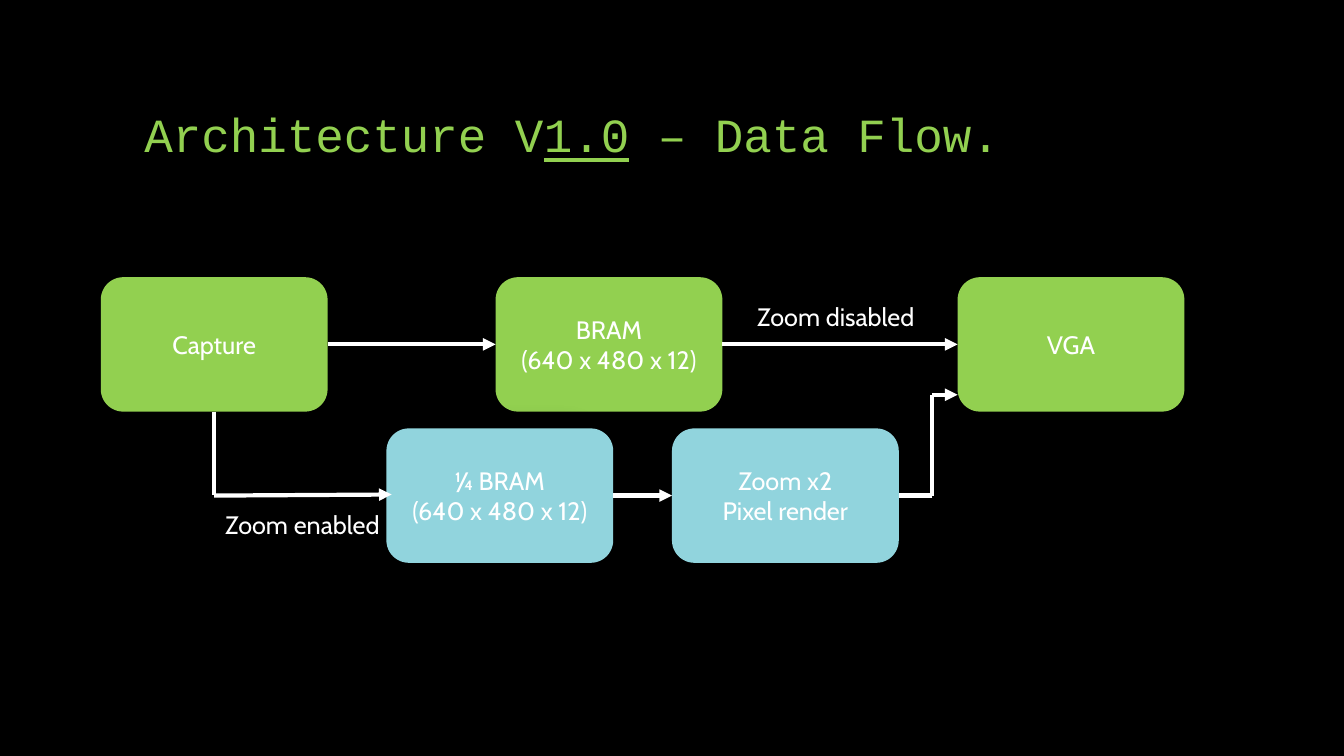
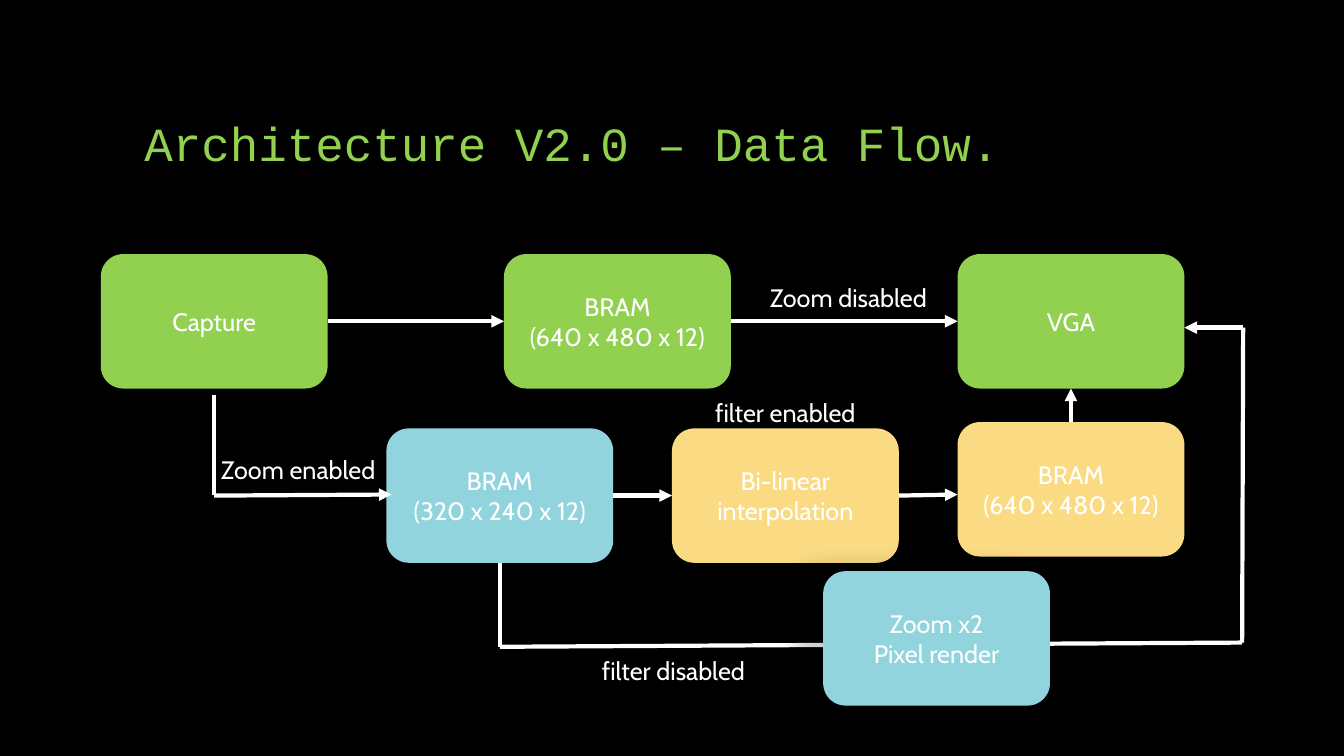
from dataclasses import dataclass

from lxml.etree import SubElement
from pptx import Presentation
from pptx.dml.color import RGBColor
from pptx.enum.shapes import MSO_CONNECTOR, MSO_SHAPE
from pptx.enum.text import MSO_ANCHOR, MSO_AUTO_SIZE, PP_ALIGN
from pptx.oxml.ns import qn
from pptx.util import Emu, Pt

EMU_PER_PX = 9525
TOP, LEFT, BOTTOM, RIGHT = range(4)


def px(*lengths):
    return [Emu(length * EMU_PER_PX) for length in lengths]


@dataclass(frozen=True)
class Theme:
    background: RGBColor = RGBColor(0x00, 0x00, 0x00)
    ink: RGBColor = RGBColor(0xFF, 0xFF, 0xFF)
    green: RGBColor = RGBColor(0x92, 0xD0, 0x50)
    blue: RGBColor = RGBColor(0x91, 0xD4, 0xDD)
    yellow: RGBColor = RGBColor(0xFA, 0xDB, 0x83)
    title_font: str = "Courier New"
    body_font: str = "Cabin"
    title_size: int = 34
    body_size: int = 18
    line_width: int = 3


class FlowDeck:
    box_size = (216, 128)

    def __init__(self, theme):
        self.theme = theme
        self.deck = Presentation()
        self.deck.slide_width, self.deck.slide_height = px(1280, 720)
        self.page = None

    def new_page(self):
        self.page = self.deck.slides.add_slide(self.deck.slide_layouts[6])
        fill = self.page.background.fill
        fill.solid()
        fill.fore_color.rgb = self.theme.background

    def set_font(self, para, name, size, color):
        para.font.name = name
        para.font.size = Pt(size)
        para.font.color.rgb = color

    def body_text(self, frame, lines):
        frame.word_wrap = True
        for index, line in enumerate(lines):
            para = frame.add_paragraph() if index else frame.paragraphs[0]
            para.text = line
            para.alignment = PP_ALIGN.CENTER
            self.set_font(para, self.theme.body_font, self.theme.body_size, self.theme.ink)

    def title(self, top, before, version, after, underline=False):
        frame = self.page.shapes.add_textbox(*px(128, top, 992, 120)).text_frame
        frame.word_wrap = True
        frame.vertical_anchor = MSO_ANCHOR.BOTTOM
        para = frame.paragraphs[0]
        para.line_spacing = 0.9
        self.set_font(para, self.theme.title_font, self.theme.title_size, self.theme.green)
        if not underline:
            para.add_run().text = before + version + after
            return
        for text, marked in ((before, False), (version, True), (after, False)):
            span = para.add_run()
            span.text = text
            span.font.underline = marked

    def box(self, left, top, color, *lines):
        box = self.page.shapes.add_shape(
            MSO_SHAPE.ROUNDED_RECTANGLE, *px(left, top, *self.box_size))
        box.fill.solid()
        box.fill.fore_color.rgb = color
        box.line.fill.background()
        self.soft_shadow(box)
        box.text_frame.vertical_anchor = MSO_ANCHOR.MIDDLE
        self.body_text(box.text_frame, lines)
        return box

    def soft_shadow(self, box):
        box.shadow.inherit = False
        effects = box._element.spPr.find(qn("a:effectLst"))
        shadow = SubElement(effects, qn("a:outerShdw"), blurRad=str(Pt(14.5)),
                            dist=str(Pt(19)), dir=str(192 * 60000), rotWithShape="0")
        color = SubElement(shadow, qn("a:srgbClr"), val=str(self.theme.background))
        SubElement(color, qn("a:alpha"), val="18000")

    def label(self, left, top, width, text):
        box = self.page.shapes.add_textbox(*px(left, top, width, 68))
        box.text_frame.auto_size = MSO_AUTO_SIZE.SHAPE_TO_FIT_TEXT
        self.body_text(box.text_frame, [text])

    def line(self, start, end, arrow=False):
        line = self.page.shapes.add_connector(MSO_CONNECTOR.STRAIGHT, *px(0, 0, 0, 0))
        if isinstance(start[0], int):
            line.begin_x, line.begin_y = px(*start)
        else:
            line.begin_connect(*start)
        if isinstance(end[0], int):
            line.end_x, line.end_y = px(*end)
        else:
            line.end_connect(*end)
        line.line.color.rgb = self.theme.ink
        line.line.width = Pt(self.theme.line_width)
        if arrow:
            SubElement(line.line._get_or_add_ln(), qn("a:tailEnd"), type="triangle")
        SubElement(line._element.spPr, qn("a:effectLst"))

    def arrow(self, start, end):
        self.line(start, end, arrow=True)

    def main_row(self, top, bram_left):
        green = self.theme.green
        capture = self.box(96, top, green, "Capture")
        vga = self.box(912, top, green, "VGA")
        bram = self.box(bram_left, top, green, "BRAM", "(640 x 480 x 12)")
        self.arrow((capture, RIGHT), (bram, LEFT))
        self.arrow((bram, RIGHT), (vga, LEFT))
        return capture, vga

    def zoom_branch(self, start, target, following):
        self.arrow((204, 472), (373, 471))
        self.line(start, (204, 471))
        self.arrow((target, RIGHT), (following, LEFT))


def first_version(flow):
    theme = flow.theme
    flow.new_page()
    flow.title(40, "Architecture V", "1.0", " – Data Flow.", underline=True)
    render = flow.box(640, 408, theme.blue, "Zoom x2", "Pixel render")
    capture, vga = flow.main_row(264, 472)
    quarter = flow.box(368, 408, theme.blue, "¼ BRAM", "(640 x 480 x 12)")
    flow.zoom_branch((capture, BOTTOM), quarter, render)
    flow.line((888, 472), (render, RIGHT))
    flow.line((888, 376), (888, 472))
    flow.arrow((888, 376), (912, 376))
    flow.label(476, 282, 640, "Zoom disabled")
    flow.label(0, 480, 576, "Zoom enabled")


def second_version(flow):
    theme = flow.theme
    flow.new_page()
    flow.title(48, "Architecture V", "2.0", " – Data Flow.")
    filtering = flow.box(640, 408, theme.yellow, "Bi-linear interpolation")
    capture, vga = flow.main_row(242, 480)
    small = flow.box(368, 408, theme.blue, "BRAM", "(320 x 240 x 12)")
    flow.zoom_branch((204, 376), small, filtering)
    filtered = flow.box(912, 402, theme.yellow, "BRAM", "(640 x 480 x 12)")
    flow.arrow((filtering, RIGHT), (912, 471))
    flow.arrow((filtered, TOP), (vga, BOTTOM))
    flow.line((1183, 612), (476, 616))
    flow.line((476, 616), (small, BOTTOM))
    flow.line((1183, 612), (1184, 312))
    flow.arrow((1184, 312), (1128, 312))
    flow.label(664, 264, 288, "Zoom disabled")
    flow.label(120, 428, 328, "Zoom enabled")
    flow.label(584, 374, 328, "filter enabled")
    flow.label(539, 619, 205, "filter disabled")
    flow.box(784, 544, theme.blue, "Zoom x2", "Pixel render")


def main():
    flow = FlowDeck(Theme())
    first_version(flow)
    second_version(flow)
    flow.deck.save("out.pptx")


if __name__ == "__main__":
    main()
